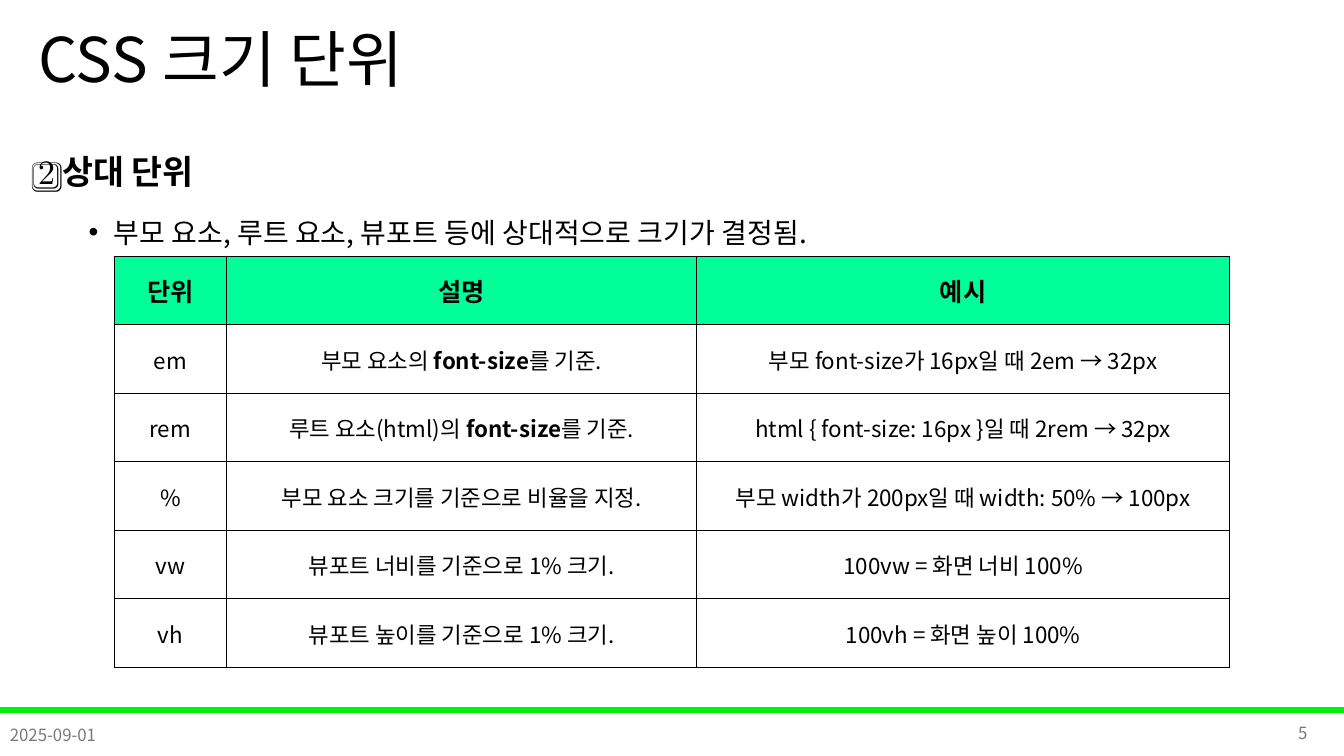
"""Build the slide on relative CSS size units."""
from lxml import etree
from pptx import Presentation
from pptx.dml.color import RGBColor
from pptx.enum import shapes, text
from pptx.oxml import ns
from pptx.util import Pt

BLACK = RGBColor(0, 0, 0)
GRAY = RGBColor(0x79, 0x79, 0x79)
GREEN = RGBColor(0, 0xF2, 0x09)
MINT = RGBColor(0, 0xFF, 0x99)

COLUMNS = [80.64, 335.52, 380.88]
ROW_HEIGHT = 48.96
UNITS = [
    [["단위"], ["설명"], ["예시"]],
    [["em"], ["부모 요소의 ", "font-size", "를 기준."],
     ["부모 font-size가 16px일 때 2em → 32px"]],
    [["rem"], ["루트 요소(html)의 ", "font-size", "를 기준."],
     ["html { font-size: 16px }일 때 2rem → 32px"]],
    [["%"], ["부모 요소 크기를 기준으로 비율을 지정."],
     ["부모 width가 200px일 때 width: 50% → 100px"]],
    [["vw"], ["뷰포트 너비를 기준으로 1% 크기."], ["100vw = 화면 너비 100%"]],
    [["vh"], ["뷰포트 높이를 기준으로 1% 크기."], ["100vh = 화면 높이 100%"]],
]


class Deck:
    def __init__(self, font):
        self.font = font
        self.prs = Presentation()
        self.prs.slide_width, self.prs.slide_height = Pt(960), Pt(540)
        self.s = self.prs.slides.add_slide(self.prs.slide_layouts[5])

    def run(self, p, words, size, color=BLACK, bold=False):
        r = p.add_run()
        r.text = words
        f = r.font
        f.name, f.size, f.bold = self.font, Pt(size), bold
        f.color.rgb = color
        ea = etree.SubElement(r._r.get_or_add_rPr(), ns.qn("a:ea"))
        ea.set("typeface", self.font)

    def title(self, words, x, y, w, h):
        sp = self.s.shapes.title
        sp.left, sp.top, sp.width, sp.height = Pt(x), Pt(y), Pt(w), Pt(h)
        tf = sp.text_frame
        tf.vertical_anchor = text.MSO_ANCHOR.MIDDLE
        p = tf.paragraphs[0]
        p.alignment, p.line_spacing = text.PP_ALIGN.LEFT, 0.9
        self.run(p, words, 44)

    def box(self, x, y, w, h, anchor=text.MSO_ANCHOR.TOP):
        tf = self.s.shapes.add_textbox(Pt(x), Pt(y), Pt(w), Pt(h)).text_frame
        tf.word_wrap = True
        tf.vertical_anchor = anchor
        return tf

    def body(self, heading, point, x, y, w, h):
        tf = self.box(x, y, w, h)
        p = tf.paragraphs[0]
        p.line_spacing = 1.5
        for words, bold in heading:
            self.run(p, words, 24, bold=bold)
        p = tf.add_paragraph()
        p.level, p.line_spacing, p.space_before = 1, 1.5, Pt(5)
        pPr = p._p.get_or_add_pPr()
        pPr.set("marL", str(Pt(54)))
        pPr.set("indent", str(Pt(-18)))
        etree.SubElement(pPr, ns.qn("a:buFont")).set("typeface", "Arial")
        etree.SubElement(pPr, ns.qn("a:buChar")).set("char", "•")
        self.run(p, point, 20)

    def footer(self, words, x, y, align):
        p = self.box(x, y, 216, 28.8, text.MSO_ANCHOR.MIDDLE).paragraphs[0]
        p.alignment = align
        self.run(p, words, 12, GRAY)

    def bar(self, x, y, w, h):
        sp = self.s.shapes.add_shape(shapes.MSO_SHAPE.RECTANGLE,
                                     Pt(x), Pt(y), Pt(w), Pt(h))
        sp.shadow.inherit = False
        sp.fill.solid()
        sp.fill.fore_color.rgb = GREEN
        sp.line.color.rgb = GREEN
        sp.line.width = Pt(1)

    def border(self, cell):
        tcPr = cell._tc.get_or_add_tcPr()
        for side in ("lnL", "lnR", "lnT", "lnB"):
            ln = etree.SubElement(tcPr, ns.qn(f"a:{side}"), w=str(Pt(0.5)))
            fill = etree.SubElement(ln, ns.qn("a:solidFill"))
            etree.SubElement(fill, ns.qn("a:srgbClr"), val=str(BLACK))

    def cell(self, cell, runs, header):
        self.border(cell)
        if header:
            cell.fill.solid()
            cell.fill.fore_color.rgb = MINT
        else:
            cell.fill.background()
        cell.margin_left = cell.margin_right = cell.margin_top = Pt(0.72)
        cell.margin_bottom = 0
        cell.vertical_anchor = text.MSO_ANCHOR.MIDDLE
        p = cell.text_frame.paragraphs[0]
        p.alignment = text.PP_ALIGN.CENTER
        for words in runs:
            self.run(p, words, 18 if header else 16,
                     bold=header or words == "font-size")

    def table(self, rows, columns, row_height, x, y):
        table = self.s.shapes.add_table(
            len(rows), len(columns), Pt(x), Pt(y),
            Pt(sum(columns)), Pt(row_height * len(rows))).table
        table.horz_banding = False
        for column, width in zip(table.columns, columns):
            column.width = Pt(width)
        for i, row in enumerate(rows):
            table.rows[i].height = Pt(row_height)
            for j, runs in enumerate(row):
                self.cell(table.cell(i, j), runs, i == 0)


def main():
    deck = Deck("Noto Sans CJK KR")
    deck.bar(0, 505.44, 960, 3.6)
    deck.title("CSS 크기 단위", 20.16, 0, 828, 90)
    deck.body([("2️⃣ ", False), ("상대 단위", True)],
              "부모 요소, 루트 요소, 뷰포트 등에 상대적으로 크기가 결정됨.",
              20.16, 90, 835.92, 279.36)
    deck.footer("5", 725.04, 509.04, text.PP_ALIGN.RIGHT)
    deck.footer("2025-09-01", 0, 510.48, text.PP_ALIGN.LEFT)
    deck.table(UNITS, COLUMNS, ROW_HEIGHT, 81.36, 182.88)
    deck.prs.save("out.pptx")


if __name__ == "__main__":
    main()
